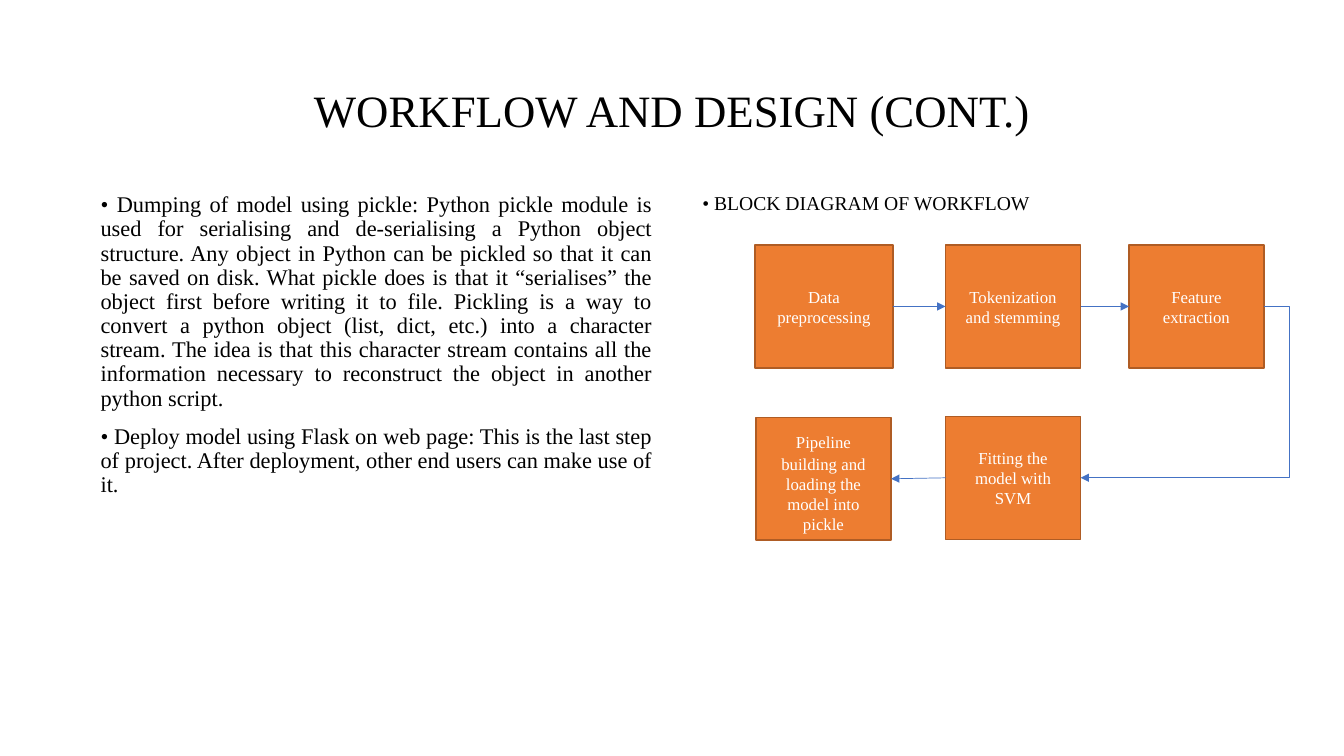
from dataclasses import dataclass
from itertools import pairwise
from typing import NamedTuple

from pptx import Presentation
from pptx.dml.color import RGBColor
from pptx.enum.shapes import MSO_CONNECTOR as Link, MSO_SHAPE as Preset
from pptx.enum.text import MSO_ANCHOR as Anchor, PP_ALIGN as Align
from pptx.oxml.ns import qn
from pptx.shapes.autoshape import Shape
from pptx.shapes.connector import Connector
from pptx.slide import Slide
from pptx.text.text import TextFrame
from pptx.util import Pt
from lxml.etree import SubElement


@dataclass(frozen=True)
class Theme:
    """Colours, fonts and type sizes of the slide."""
    ink: RGBColor = RGBColor(0, 0, 0)
    on_block: RGBColor = RGBColor(255, 255, 255)
    block: RGBColor = RGBColor.from_string("ED7D31")
    block_edge: RGBColor = RGBColor.from_string("AF5C24")
    arrow: RGBColor = RGBColor.from_string("4472C4")
    font: str = "Times New Roman"
    spacer_font: str = "Calibri"
    title: float = 32
    body: float = 16
    heading: float = 14
    label: float = 12
    spacer: float = 18


class Span(NamedTuple):
    """A piece of a paragraph with its own font and size."""
    text: str
    font: str
    size: float


class Box(NamedTuple):
    """A rectangle in points."""
    left: float
    top: float
    width: float
    height: float


@dataclass(frozen=True)
class Step:
    """One block of the workflow."""
    label: str | list[Span]
    left: float
    top: float
    width: float = 96.5


THEME = Theme()
BLOCK_HEIGHT = 87.8
RIGHT_SIDE, LEFT_SIDE = 3, 1
TURN_ADJUST = -13800
UPPER_ROW, LOWER_ROW = 175, 297.4
COLUMNS = (539.3, 675.4, 806.4)

DETAILS = [
    "• Dumping of model using pickle: Python pickle module is used for "
    "serialising and de-serialising a Python object structure. Any object in "
    "Python can be pickled so that it can be saved on disk. What pickle does is "
    "that it “serialises” the object first before writing it to file. Pickling "
    "is a way to convert a python object (list, dict, etc.) into a character "
    "stream. The idea is that this character stream contains all the "
    "information necessary to reconstruct the object in another python script.",
    "• Deploy model using Flask on web page: This is the last step of project. "
    "After deployment, other end users can make use of it.",
]
PIPELINE = [
    Span("Pipeline", THEME.font, THEME.label),
    Span(" ", THEME.spacer_font, THEME.spacer),
    Span("building and loading the model into pickle", THEME.font, THEME.label),
]
STEPS = [
    Step("Data preprocessing", COLUMNS[0], UPPER_ROW, width=98.6),
    Step("Tokenization and stemming", COLUMNS[1], UPPER_ROW),
    Step("Feature extraction", COLUMNS[2], UPPER_ROW),
    Step("Fitting the model with SVM", COLUMNS[1], LOWER_ROW),
    Step(PIPELINE, COLUMNS[0] + 0.7, LOWER_ROW + 0.7),
]


def write(frame: TextFrame, paragraphs: list[str | list[Span]], *, size: float,
          color: RGBColor = THEME.ink, align: Align = Align.LEFT,
          anchor: Anchor = Anchor.TOP, line_spacing: float = 0.9,
          before: float = 0) -> None:
    """Fill a text frame with formatted paragraphs."""
    frame.word_wrap = True
    frame.vertical_anchor = anchor
    for index, content in enumerate(paragraphs):
        paragraph = frame.add_paragraph() if index else frame.paragraphs[0]
        paragraph.alignment = align
        paragraph.line_spacing = line_spacing
        paragraph.space_before = Pt(before)
        spans = [Span(content, THEME.font, size)] if isinstance(content, str) else content
        for span in spans:
            run = paragraph.add_run()
            run.text = span.text
            run.font.name = span.font
            run.font.size = Pt(span.size)
            run.font.color.rgb = color


def add_text(slide: Slide, box: Box, paragraphs: list[str], **style) -> None:
    """Place a text box and write into it."""
    area = slide.shapes.add_textbox(*map(Pt, box))
    write(area.text_frame, paragraphs, **style)


def add_step(slide: Slide, step: Step) -> Shape:
    """Draw one workflow block."""
    box = Box(step.left, step.top, step.width, BLOCK_HEIGHT)
    block = slide.shapes.add_shape(Preset.RECTANGLE, *map(Pt, box))
    block.shadow.inherit = False
    block.fill.solid()
    block.fill.fore_color.rgb = THEME.block
    block.line.color.rgb = THEME.block_edge
    block.line.width = Pt(1)
    write(block.text_frame, [step.label], size=THEME.label, color=THEME.on_block,
          align=Align.CENTER, anchor=Anchor.MIDDLE, line_spacing=1.0)
    return block


def add_arrow(slide: Slide, source: Shape, target: Shape) -> Connector:
    """Join two blocks, turning back outside the row when the row changes."""
    turns = target.top - source.top > source.height
    forward = target.left > source.left
    kind = Link.ELBOW if turns else Link.STRAIGHT
    arrow = slide.shapes.add_connector(kind, 0, 0, 0, 0)
    arrow.begin_connect(source, RIGHT_SIDE if turns or forward else LEFT_SIDE)
    arrow.end_connect(target, LEFT_SIDE if forward else RIGHT_SIDE)
    arrow.line.color.rgb = THEME.arrow
    arrow.line.width = Pt(0.5)
    properties = arrow._element.spPr
    SubElement(properties.find(qn("a:ln")), qn("a:tailEnd"), type="triangle")
    SubElement(properties, qn("a:effectLst"))
    if turns:
        guides = properties.find(qn("a:prstGeom")).get_or_add_avLst()
        SubElement(guides, qn("a:gd"), name="adj1", fmla=f"val {TURN_ADJUST}")
    return arrow


def main() -> None:
    """Build and save the slide."""
    deck = Presentation()
    deck.slide_width, deck.slide_height = Pt(960), Pt(540)
    slide = deck.slides.add_slide(deck.slide_layouts[6])

    add_text(slide, Box(66, 28.8, 828, 104.4), ["WORKFLOW AND DESIGN (CONT.)"],
             size=THEME.title, align=Align.CENTER, anchor=Anchor.MIDDLE)
    add_text(slide, Box(64.8, 134.6, 408.2, 378.7), DETAILS,
             size=THEME.body, align=Align.JUSTIFY, before=10)
    add_text(slide, Box(494.6, 134.6, 408.2, 378.7), ["• BLOCK DIAGRAM OF WORKFLOW"],
             size=THEME.heading, before=10)

    blocks = [add_step(slide, step) for step in STEPS]
    for source, target in pairwise(blocks):
        add_arrow(slide, source, target)
    deck.save("out.pptx")


main()
